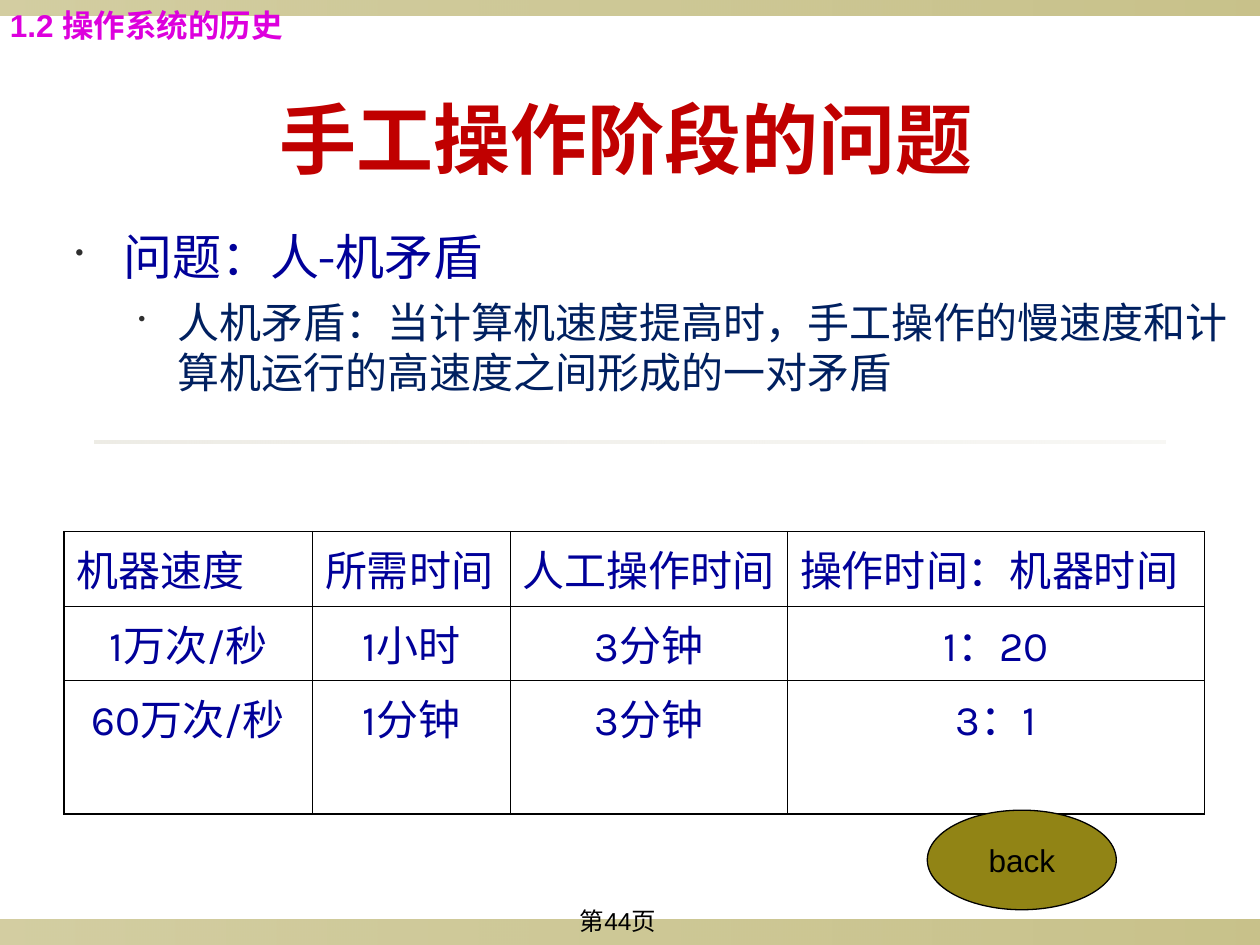
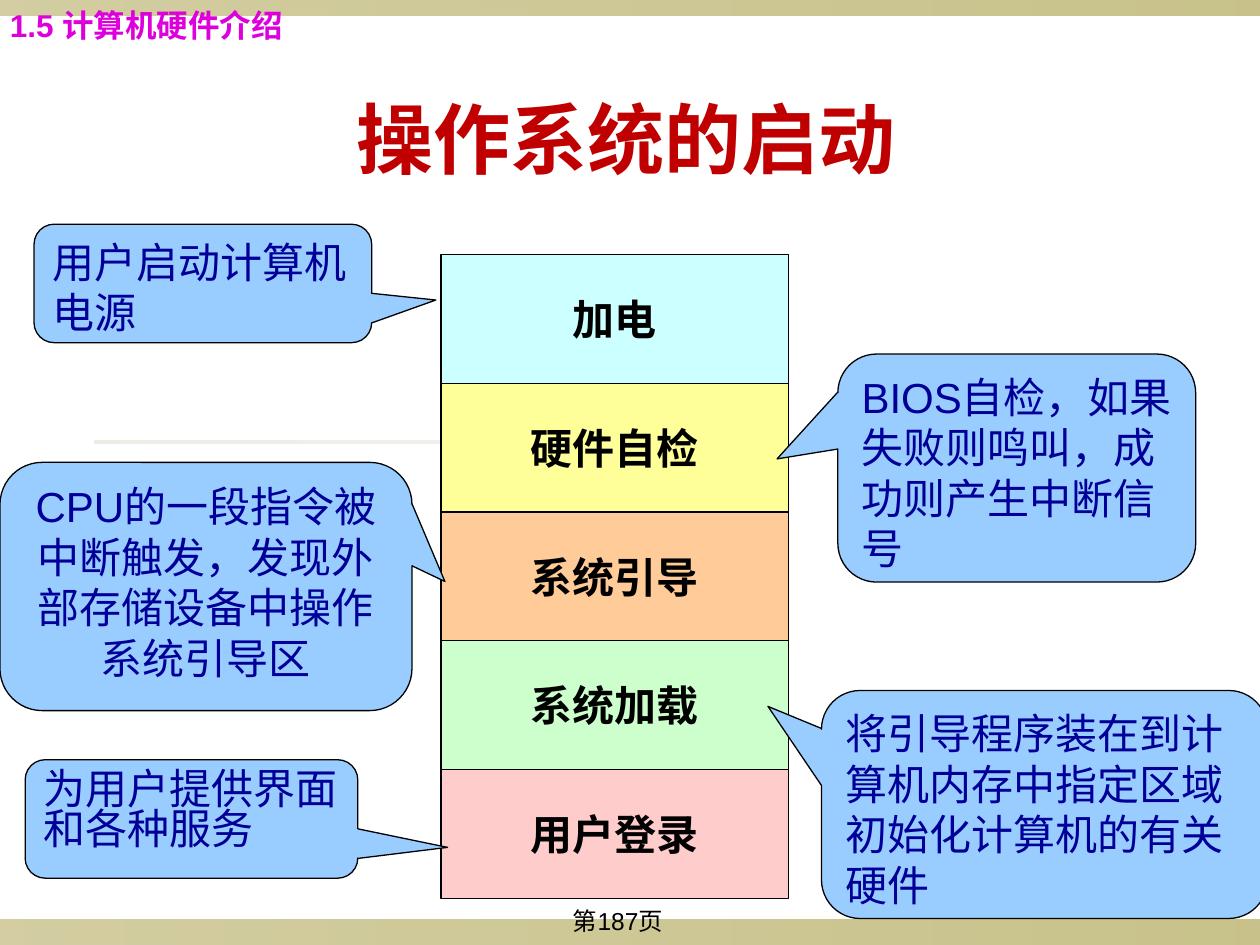
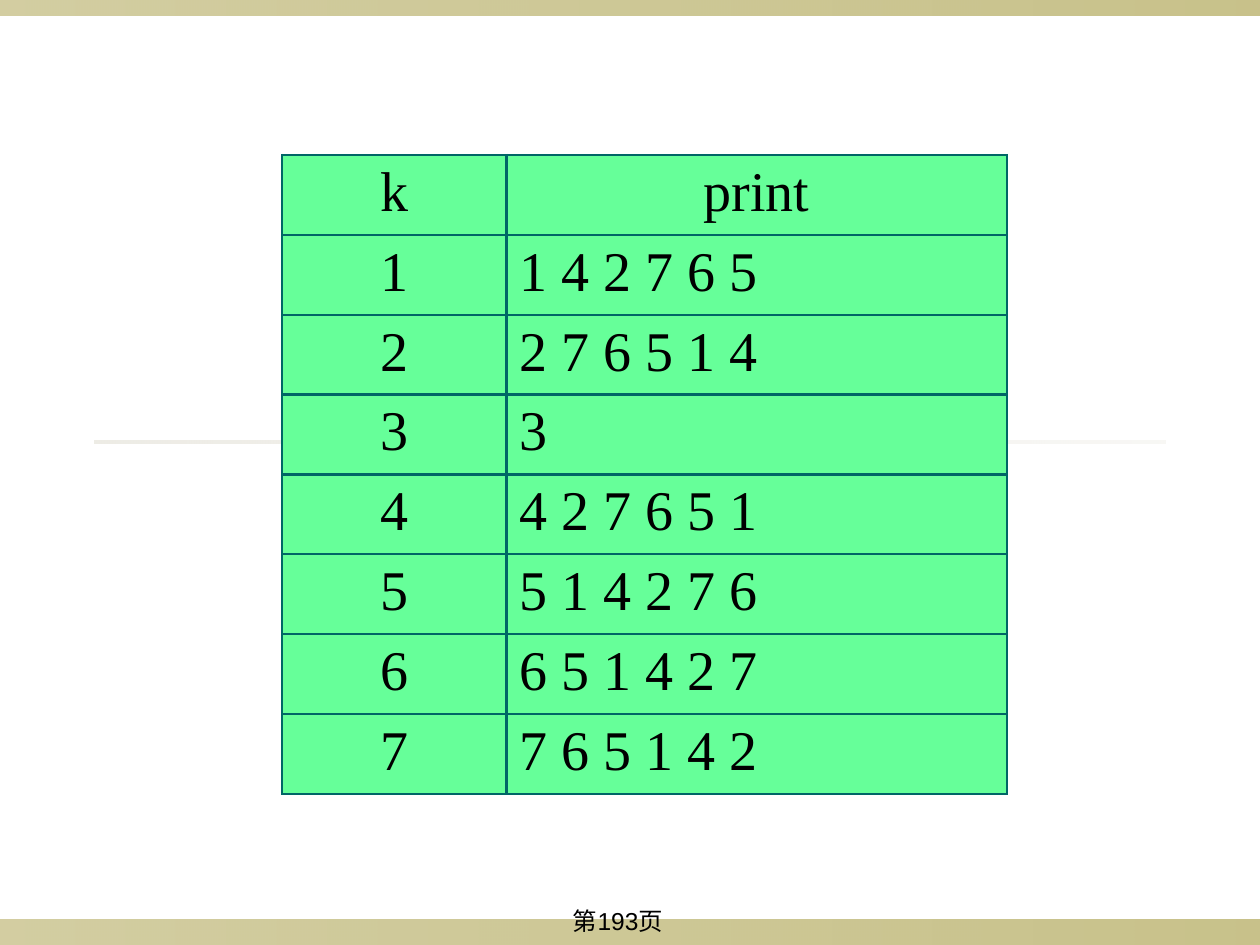
from dataclasses import dataclass, replace
from typing import Any, Callable, NamedTuple

from lxml import etree
from pptx import Presentation
from pptx import util as u
from pptx.dml.color import RGBColor
from pptx.enum import shapes, text
from pptx.oxml.ns import qn

# The slide is a grid of 100 columns and 75 rows of square cells.
COLUMNS, ROWS = 100, 75
CELL = 0.1

BLACK, RED, NAVY, BLUE, MAGENTA = "000000", "C00000", "002060", "000099", "DD00DD"
OLIVE, SAND, SKY, GREEN, TEAL = "918415", "DCD9CC", "99CCFF", "66FF99", "006666"
BULLET_GREY = "2F2F2F"
CENTER, LEFT = text.PP_ALIGN.CENTER, text.PP_ALIGN.LEFT
MIDDLE, TOP = text.MSO_ANCHOR.MIDDLE, text.MSO_ANCHOR.TOP


class Area(NamedTuple):
    column: float
    row: float
    columns: float
    rows: float


@dataclass(frozen=True)
class Style:
    size: float
    color: str
    font: str = "Arial"
    bold: bool = False
    align: Any = LEFT
    anchor: Any = TOP
    wrap: bool = True
    spacing: float = 1.0


class Band(NamedTuple):
    area: Area
    color: str
    start_alpha: int
    end_alpha: int


class Bullet(NamedTuple):
    words: str
    style: Style
    margin: float
    hanging: float
    space_before: float


class Callout(NamedTuple):
    area: Area
    tip: tuple[float, float]
    lines: list[str]
    style: Style


class Stage(NamedTuple):
    name: str
    color: str


class Grid(NamedTuple):
    column: float
    row: float
    widths: list[float]
    heights: list[float]
    cells: list[list[str]]
    style: Style
    centred: Callable[[int, int], bool]
    border: str
    inner: float
    outer: float
    fill: str | None = None


TITLE = Style(44, RED, "Karla", True, CENTER, MIDDLE)
SECTION = Style(18, MAGENTA, bold=True)
PAGE = Style(14, BLACK, align=CENTER)
BUTTON = Style(18, BLACK, align=CENTER, anchor=MIDDLE, wrap=False)
STAGE = Style(24, BLACK, bold=True, align=CENTER, anchor=MIDDLE, wrap=False)
NOTE = Style(24, BLUE)

TITLE_AREA = Area(4.7, 4.7, 90, 12.5)
SECTION_AREA = Area(-0.2, 0, 26, 4)
PAGE_AREA = Area(37.4, 71.4, 23.3, 3.6)
BODY_AREA = Area(5, 17.5, 95, 51.3)
BACK_AREA = Area(73.6, 64.3, 15, 7.9)
STAGES_AREA = Area(35, 20.2, 27.6, 51.1)

BANDS = [
    Band(Area(0, 73, COLUMNS, 2), OLIVE, 40, 50),
    Band(Area(0, 0, COLUMNS, 1.2), OLIVE, 40, 50),
    Band(Area(7.5, 35, 85, 0.2), SAND, 50, 20),
]

PROBLEMS = [
    Bullet("问题：人-机矛盾", Style(28, BLUE, "Karla"), 3.8, 3.8, 0),
    Bullet("人机矛盾：当计算机速度提高时，手工操作的慢速度和计算机运行的高速度之间形成的一对矛盾",
           Style(24, NAVY, "Karla"), 8.1, 3.1, 6),
]

SPEEDS = Grid(
    5.1, 42.2, [19.7, 15.7, 22, 33.1], [5.9, 5.9, 10.6],
    [["机器速度", "所需时间", "人工操作时间", "操作时间：机器时间"],
     ["1万次/秒", "1小时", "3分钟", "1：20"],
     ["60万次/秒", "1分钟", "3分钟", "3：1"]],
    Style(24, BLUE, "Karla"), lambda row, column: row > 0, BLACK, 0.45, 0.96)

PRINTS = Grid(
    22.4, 12.3, [17.8, 39.7], [6.34] * 8,
    [["k", "print"], ["1", "1 4 2 7 6 5"], ["2", "2 7 6 5 1 4"], ["3", "3"],
     ["4", "4 2 7 6 5 1"], ["5", "5 1 4 2 7 6"], ["6", "6 5 1 4 2 7"],
     ["7", "7 6 5 1 4 2"]],
    Style(32, BLACK, "Times New Roman"), lambda row, column: row == 0 or column == 0,
    TEAL, 1.47, 1.47, GREEN)

STAGES = [
    Stage("加电", "CCFFFF"),
    Stage("硬件自检", "FFFF99"),
    Stage("系统引导", "FFCC99"),
    Stage("系统加载", "CCFFCC"),
    Stage("用户登录", "FFCCCC"),
]

CALLOUTS = [
    Callout(Area(2.7, 17.8, 26.8, 9.4), (0.69, 0.14), ["用户启动计算机电源"], NOTE),
    Callout(Area(66.5, 28.1, 28.4, 18.1), (-0.67, -0.04),
            ["BIOS自检，如果失败则鸣叫，成功则产生中断信号"], NOTE),
    Callout(Area(0, 36.7, 32.7, 19.7), (0.58, -0.02),
            ["CPU的一段指令被中断触发，发现外部存储设备中操作系统引导区"],
            replace(NOTE, align=CENTER)),
    Callout(Area(65.2, 54.8, 35.4, 18.1), (-0.62, -0.43),
            ["将引导程序装在到计算机内存中指定区域", "初始化计算机的有关硬件"], NOTE),
    Callout(Area(2, 60.3, 26.4, 9.4), (0.77, 0.24), ["为用户提供界面和各种服务"],
            replace(NOTE, spacing=0.8)),
]


def rgb(value: str) -> RGBColor:
    return RGBColor.from_string(value)


def cells(count: float) -> u.Length:
    return u.Inches(count * CELL)


def place(area: Area) -> list[u.Length]:
    return [cells(part) for part in area]


def assign(target: Any, values: dict[str, Any]) -> None:
    for name, value in values.items():
        setattr(target, name, value)


def format_paragraph(paragraph: Any, words: str, style: Style) -> None:
    run = paragraph.add_run()
    run.text = words
    assign(paragraph, {"alignment": style.align, "line_spacing": style.spacing})
    assign(run.font, {"size": u.Pt(style.size), "name": style.font, "bold": style.bold})
    run.font.color.rgb = rgb(style.color)


def write(frame: Any, lines: list[str], style: Style) -> None:
    assign(frame, {"word_wrap": style.wrap, "vertical_anchor": style.anchor})
    for index, words in enumerate(lines):
        paragraph = frame.add_paragraph() if index else frame.paragraphs[0]
        format_paragraph(paragraph, words, style)


def add_label(slide: Any, area: Area, words: str, style: Style) -> None:
    label = slide.shapes.add_textbox(*place(area))
    write(label.text_frame, [words], style)


def add_outlined(slide: Any, preset: Any, area: Area, fill: str,
                 lines: list[str], style: Style) -> Any:
    shape = slide.shapes.add_shape(preset, *place(area))
    shape.shadow.inherit = False
    shape.fill.solid()
    shape.fill.fore_color.rgb = rgb(fill)
    shape.line.color.rgb = rgb(BLACK)
    shape.line.width = u.Pt(0.75)
    write(shape.text_frame, lines, style)
    return shape


def add_band(slide: Any, band: Band) -> None:
    """Draw a borderless bar of one colour that fades from left to right."""
    bar = slide.shapes.add_shape(shapes.MSO_SHAPE.RECTANGLE, *place(band.area))
    bar.shadow.inherit = False
    bar.line.fill.background()
    bar.fill.gradient()
    bar.fill.gradient_angle = 0
    for stop in bar.fill.gradient_stops:
        stop.color.rgb = rgb(band.color)
    alphas = (band.start_alpha, band.end_alpha)
    for color, alpha in zip(bar.element.spPr.iter(qn("a:srgbClr")), alphas):
        etree.SubElement(color, qn("a:alpha"), val=str(alpha * 1000))


def add_bullets(slide: Any, area: Area, bullets: list[Bullet]) -> None:
    frame = slide.shapes.add_textbox(*place(area)).text_frame
    frame.word_wrap = True
    for index, bullet in enumerate(bullets):
        paragraph = frame.add_paragraph() if index else frame.paragraphs[0]
        properties = paragraph._p.get_or_add_pPr()
        properties.set("marL", str(cells(bullet.margin)))
        properties.set("indent", str(-cells(bullet.hanging)))
        marker_color = etree.SubElement(properties, qn("a:buClr"))
        etree.SubElement(marker_color, qn("a:srgbClr"), val=BULLET_GREY)
        etree.SubElement(properties, qn("a:buSzPct"), val="50000")
        etree.SubElement(properties, qn("a:buChar"), char="•")
        paragraph.level = index
        paragraph.space_before = u.Pt(bullet.space_before)
        format_paragraph(paragraph, bullet.words, bullet.style)


def set_border(cell: Any, side: str, color: str, width: float) -> None:
    line = etree.SubElement(cell._tc.get_or_add_tcPr(), qn(f"a:ln{side}"),
                            w=str(u.Pt(width)))
    fill = etree.SubElement(line, qn("a:solidFill"))
    etree.SubElement(fill, qn("a:srgbClr"), val=color)


def add_grid(slide: Any, grid: Grid) -> None:
    last_row, last_column = len(grid.heights) - 1, len(grid.widths) - 1
    area = Area(grid.column, grid.row, sum(grid.widths), sum(grid.heights))
    table = slide.shapes.add_table(last_row + 1, last_column + 1, *place(area)).table
    assign(table, {"first_row": False, "horz_banding": False})
    for column, width in zip(table.columns, grid.widths):
        column.width = cells(width)
    for row, height in zip(table.rows, grid.heights):
        row.height = cells(height)
    for row, entries in enumerate(grid.cells):
        for column, words in enumerate(entries):
            cell = table.cell(row, column)
            align = CENTER if grid.centred(row, column) else LEFT
            write(cell.text_frame, [words], replace(grid.style, align=align))
            at_edge = {"L": column == 0, "R": column == last_column,
                       "T": row == 0, "B": row == last_row}
            for side, outer in at_edge.items():
                set_border(cell, side, grid.border, grid.outer if outer else grid.inner)
            if grid.fill:
                cell.fill.solid()
                cell.fill.fore_color.rgb = rgb(grid.fill)
            else:
                cell.fill.background()


def add_stages(slide: Any, area: Area, stages: list[Stage]) -> None:
    """Stack the stages from top to bottom in rows of equal height."""
    height = area.rows / len(stages)
    for index, stage in enumerate(stages):
        step = area._replace(row=area.row + index * height, rows=height)
        add_outlined(slide, shapes.MSO_SHAPE.RECTANGLE, step, stage.color,
                     [stage.name], STAGE)


def add_callout(slide: Any, callout: Callout) -> None:
    bubble = add_outlined(slide, shapes.MSO_SHAPE.ROUNDED_RECTANGULAR_CALLOUT,
                          callout.area, SKY, callout.lines, callout.style)
    for index, value in enumerate((*callout.tip, 0.17)):
        bubble.adjustments[index] = value


def new_slide(deck: Any, page: int, title: str = "") -> Any:
    slide = deck.slides.add_slide(deck.slide_layouts[6])
    for band in BANDS:
        add_band(slide, band)
    add_label(slide, PAGE_AREA, f"第{page}页", PAGE)
    if title:
        add_label(slide, TITLE_AREA, title, TITLE)
    return slide


def main() -> None:
    deck = Presentation()
    assign(deck, {"slide_width": cells(COLUMNS), "slide_height": cells(ROWS)})

    manual = new_slide(deck, 44, "手工操作阶段的问题")
    add_bullets(manual, BODY_AREA, PROBLEMS)
    add_grid(manual, SPEEDS)
    add_outlined(manual, shapes.MSO_SHAPE.OVAL, BACK_AREA, OLIVE, ["back"], BUTTON)
    add_label(manual, SECTION_AREA, "1.2 操作系统的历史", SECTION)

    startup = new_slide(deck, 187, "操作系统的启动")
    add_stages(startup, STAGES_AREA, STAGES)
    for callout in CALLOUTS:
        add_callout(startup, callout)
    add_label(startup, SECTION_AREA, "1.5 计算机硬件介绍", SECTION)

    add_grid(new_slide(deck, 193), PRINTS)
    deck.save("out.pptx")


if __name__ == "__main__":
    main()
